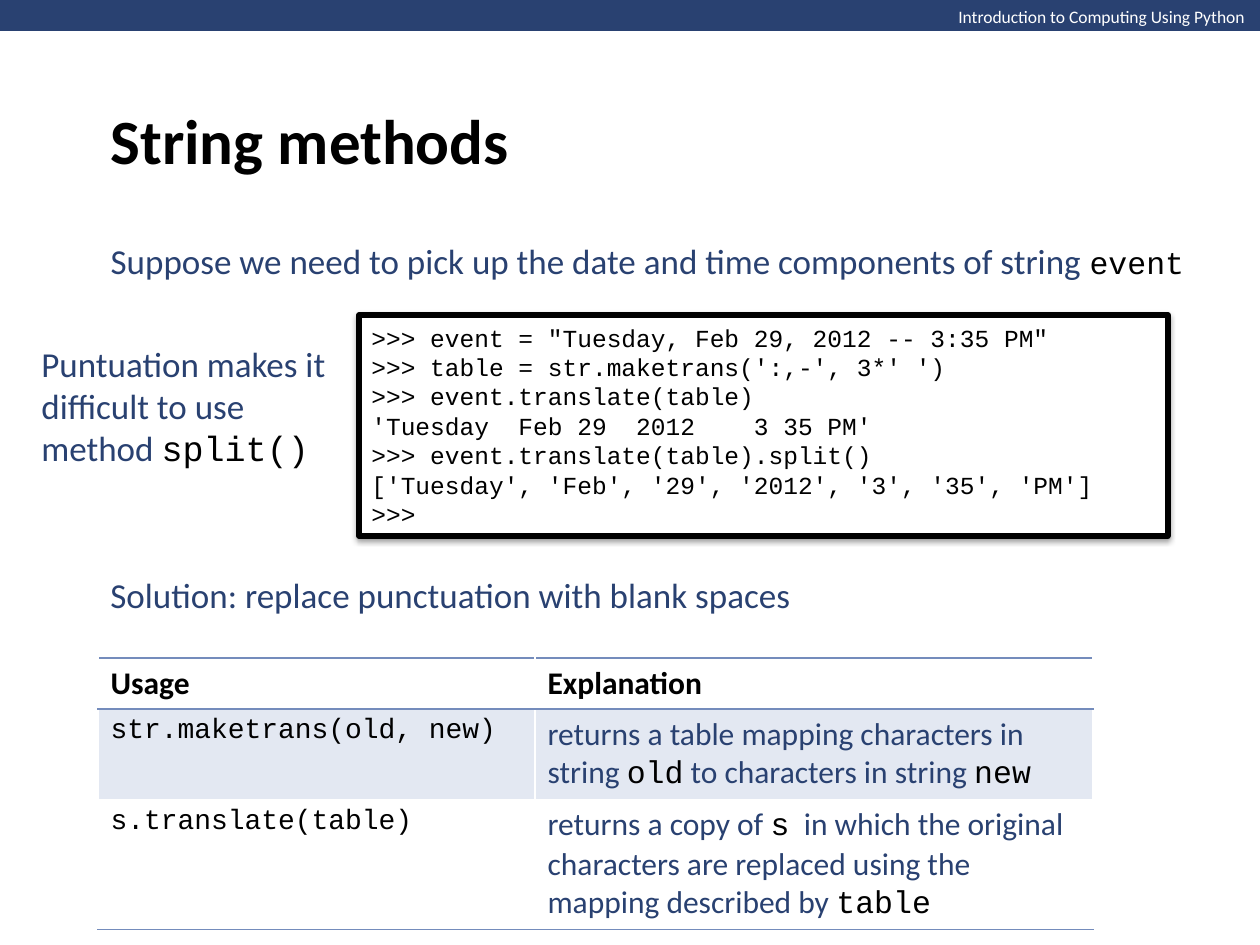
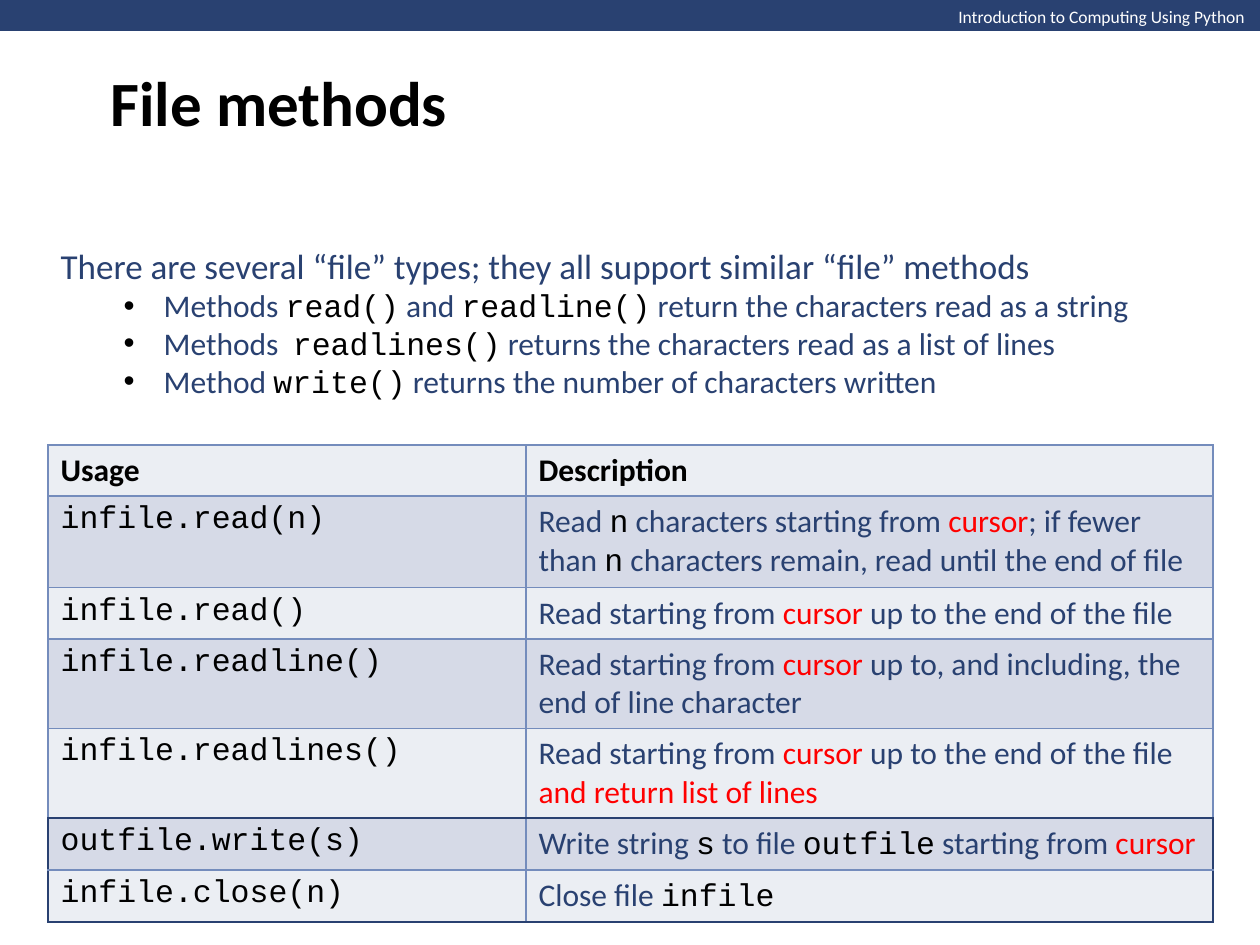
from lxml import etree
from pptx import Presentation
from pptx.dml.color import RGBColor
from pptx.enum.shapes import MSO_SHAPE as SHAPE
from pptx.enum.text import MSO_ANCHOR as ANCHOR, MSO_AUTO_SIZE as AUTO_SIZE, PP_ALIGN as ALIGN
from pptx.oxml.ns import qn
from pptx.util import Emu, Pt

# Shared look
EMU_PER_PX = 914400 / 126
SLIDE_W, SLIDE_H = 1260, 945
TEXT_FONT, CODE_FONT = "Calibri", "Courier New"
COLORS = {
    "navy": "294171",
    "rule": "748CBC",
    "black": "000000",
    "white": "FFFFFF",
    "red": "FF0000",
    "pale": "EBEEF3",
    "band": "D6DAE7",
    "tint": "E3E8F2",
}

# In the texts below, `...` marks code and *...* marks red words.
EVENT_SESSION = """>>> event = "Tuesday, Feb 29, 2012 -- 3:35 PM"
>>> table = str.maketrans(':,-', 3*' ')
>>> event.translate(table)
'Tuesday  Feb 29  2012    3 35 PM'
>>> event.translate(table).split()
['Tuesday', 'Feb', '29', '2012', '3', '35', 'PM']
>>>"""

STRING_METHODS = [
    ("Usage", "Explanation"),
    ("`str.maketrans(old, new)`",
     "returns a table mapping characters in string `old` to characters in string `new`"),
    ("`s.translate(table)`",
     "returns a copy of `s`  in which the original characters are replaced "
     "using the mapping described by `table`"),
]

FILE_INTRO = "There are several “file” types; they all support similar “file” methods"
FILE_POINTS = [
    "Methods `read()` and `readline()` return the characters read as a string",
    "Methods  `readlines()` returns the characters read as a list of lines",
    "Method `write()` returns the number of characters written",
]

FILE_METHODS = [
    ("Usage", "Description"),
    ("`infile.read(n)`",
     "Read `n` characters starting from *cursor*; if fewer than `n` characters remain, "
     "read until the end of file"),
    ("`infile.read()`", "Read starting from *cursor* up to the end of the file"),
    ("`infile.readline()`",
     "Read starting from *cursor* up to, and including, the end of line character"),
    ("`infile.readlines()`",
     "Read starting from *cursor* up to the end of the file *and return list of lines*"),
    ("`outfile.write(s)`", "Write string `s` to file `outfile` starting from *cursor*"),
    ("`infile.close(n)`", "Close file `infile`"),
]


def px(length):
    return Emu(round(length * EMU_PER_PX))


def rgb(name):
    return RGBColor.from_string(COLORS[name])


def place(shape, left, top, width, height):
    shape.left, shape.top = px(left), px(top)
    shape.width, shape.height = px(width), px(height)


# Text
def style(span, size, color, font=TEXT_FONT, bold=False):
    span.font.name, span.font.size, span.font.bold = font, Pt(size), bold
    span.font.color.rgb = rgb(color)


def add_span(para, text, *look):
    if text:
        span = para.add_run()
        span.text = text
        style(span, *look)


def write(para, text, size, code_size=None):
    """Fill a paragraph with prose, code and red words."""
    para.alignment = ALIGN.LEFT
    for i, part in enumerate(text.split("`")):
        if i % 2:
            add_span(para, part, code_size or size, "black", CODE_FONT)
            continue
        for j, words in enumerate(part.split("*")):
            add_span(para, words, size, "red" if j % 2 else "navy")


def set_frame(shape, anchor=ANCHOR.MIDDLE, wrap=True):
    frame = shape.text_frame
    frame.auto_size = AUTO_SIZE.NONE
    frame.vertical_anchor, frame.word_wrap = anchor, wrap
    return frame


def set_bullet(para, bulleted):
    para.space_before = Pt(0)
    props = para._p.get_or_add_pPr()
    props.set("marL", str(px(103 if bulleted else 0)))
    props.set("indent", str(px(-40 if bulleted else 0)))
    if bulleted:
        color = etree.SubElement(props, qn("a:buClr"))
        etree.SubElement(color, qn("a:srgbClr"), val=COLORS["black"])
        etree.SubElement(props, qn("a:buFont"), typeface="Arial")
        etree.SubElement(props, qn("a:buChar"), char="•")
    else:
        etree.SubElement(props, qn("a:buNone"))


def add_note(page, text, *box):
    note = page.shapes.add_textbox(0, 0, 0, 0)
    place(note, *box)
    write(set_frame(note).paragraphs[0], text, 20)


def fill_body(page, box, intro, points=(), code_size=18, wrap=True):
    body = page.placeholders[1]
    place(body, *box)
    frame = set_frame(body, wrap=wrap)
    set_bullet(frame.paragraphs[0], False)
    write(frame.paragraphs[0], intro, 20, code_size)
    for point in points:
        para = frame.add_paragraph()
        para.level = 1
        set_bullet(para, True)
        write(para, point, 18)


# Page with the course band and a title
def add_page(deck, title, title_top):
    page = deck.slides.add_slide(deck.slide_layouts[1])
    band = page.shapes.add_shape(SHAPE.RECTANGLE, 0, 0, px(SLIDE_W), px(31))
    band.shadow.inherit = False
    band.fill.solid()
    band.fill.fore_color.rgb = rgb("navy")
    band.line.fill.background()

    course = page.shapes.add_textbox(px(946), 0, px(315), px(34))
    frame = set_frame(course, ANCHOR.TOP, wrap=False)
    frame.text = "Introduction to Computing Using Python"
    style(frame.paragraphs[0].runs[0], 10, "white")

    place(page.shapes.title, 98, title_top, 1071, 203)
    frame = set_frame(page.shapes.title)
    frame.text = title
    frame.paragraphs[0].alignment = ALIGN.LEFT
    style(frame.paragraphs[0].runs[0], 36, "black", TEXT_FONT, True)
    return page


# Framed interpreter session with a soft shadow
def add_session(page, text, *box):
    panel = page.shapes.add_shape(SHAPE.RECTANGLE, 0, 0, 0, 0)
    place(panel, *box)
    panel.fill.solid()
    panel.fill.fore_color.rgb = rgb("white")
    panel.line.color.rgb = rgb("black")
    panel.line.width = Pt(3)
    panel.shadow.inherit = False
    effects = panel._element.spPr.find(qn("a:effectLst"))
    shadow = etree.SubElement(effects, qn("a:outerShdw"), blurRad=str(Pt(3.1)),
                              dist=str(Pt(1.6)), dir="5400000", rotWithShape="0")
    color = etree.SubElement(shadow, qn("a:srgbClr"), val=COLORS["black"])
    etree.SubElement(color, qn("a:alpha"), val="38000")

    frame = set_frame(panel)
    frame.text = text
    for para in frame.paragraphs:
        para.alignment = ALIGN.LEFT
        style(para.runs[0], 14, "black", CODE_FONT)


# Tables
def set_borders(cell, sides):
    """Draw 1 pt borders; sides maps L, R, T, B to colour names."""
    props = cell._tc.get_or_add_tcPr()
    for side in "LRTB":
        if side in sides:
            line = etree.SubElement(props, qn(f"a:ln{side}"), w=str(Pt(1)))
            fill = etree.SubElement(line, qn("a:solidFill"))
            etree.SubElement(fill, qn("a:srgbClr"), val=COLORS[sides[side]])


def add_methods_table(page, rows, left, top, widths, heights, row_fill, borders, usage_size=18):
    table = page.shapes.add_table(len(rows), len(widths), px(left), px(top),
                                  px(sum(widths)), px(sum(heights))).table
    table.first_row = table.horz_banding = False
    for column, width in zip(table.columns, widths):
        column.width = px(width)
    for r, (texts, height) in enumerate(zip(rows, heights)):
        table.rows[r].height = px(height)
        for c, text in enumerate(texts):
            cell = table.cell(r, c)
            set_borders(cell, borders(r, c))
            color = row_fill(r)
            if color:
                cell.fill.solid()
                cell.fill.fore_color.rgb = rgb(color)
            else:
                cell.fill.background()
            para = cell.text_frame.paragraphs[0]
            if r == 0:
                para.text = text
                style(para.runs[0], 18, "black", TEXT_FONT, True)
            else:
                write(para, text, 18, usage_size if c == 0 else 18)


def string_borders(r, c):
    return [{"T": "rule", "B": "rule"}, {"T": "rule"}, {"B": "rule"}][r]


def file_borders(r, c):
    """Rules all round, with a navy outline about the last two rows."""
    sides = dict.fromkeys("LRTB", "rule")
    if r >= 5:
        sides["LR"[c]] = "navy"
    if r in (4, 6):
        sides["B"] = "navy"
    if r == 5:
        sides["T"] = "navy"
    return sides


def build_string_methods(deck):
    page = add_page(deck, "String methods", 38)
    fill_body(page, (98, 233, 1120, 55),
              "Suppose we need to pick up the date and time components of string `event`",
              wrap=False)
    add_session(page, EVENT_SESSION, 359, 315, 809, 221)
    add_note(page, "Puntuation makes it difficult to use method `split()`", 29, 336, 326, 140)
    add_note(page, "Solution: replace punctuation with blank spaces", 98, 567, 1119, 55)
    add_methods_table(page, STRING_METHODS, 98, 658, (437, 558), (51, 88, 127),
                      lambda r: "tint" if r == 1 else None, string_borders, usage_size=16)


def build_file_methods(deck):
    page = add_page(deck, "File methods", 0)
    fill_body(page, (48, 237, 1164, 170), FILE_INTRO, FILE_POINTS)
    add_methods_table(page, FILE_METHODS, 48, 445, (478, 687), (51, 88, 51, 88, 88, 51, 51),
                      lambda r: "band" if r % 2 else "pale", file_borders)


def main():
    deck = Presentation()
    deck.slide_width, deck.slide_height = px(SLIDE_W), px(SLIDE_H)
    build_string_methods(deck)
    build_file_methods(deck)
    deck.save("out.pptx")


if __name__ == "__main__":
    main()
